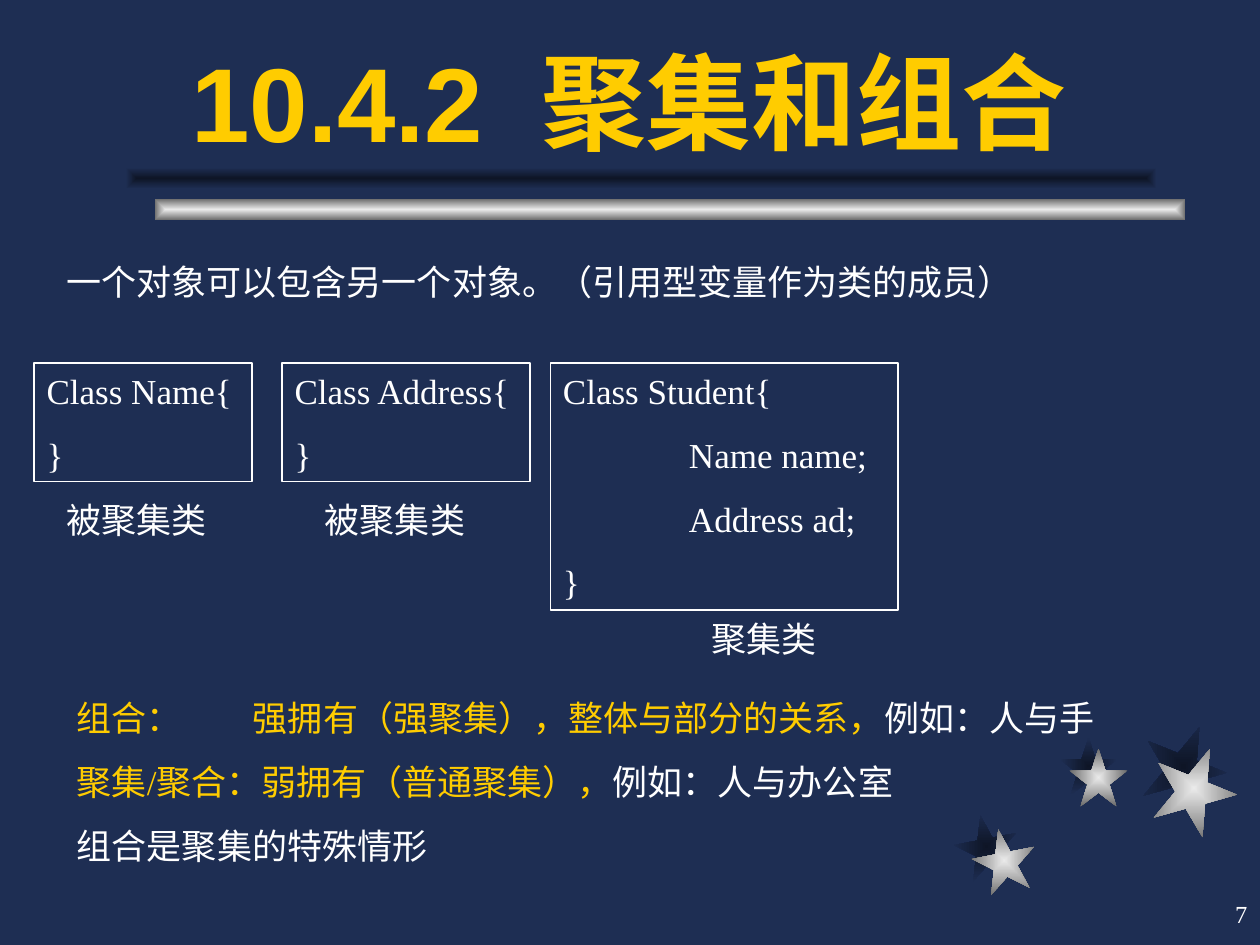
import pptx
import pptx.util
import pptx.dml.color
import pptx.enum.shapes
import pptx.enum.text
import pptx.oxml
import pptx.oxml.ns

Cm = pptx.util.Cm
RGBColor = pptx.dml.color.RGBColor
NAVY = RGBColor(0x1E, 0x2E, 0x53)
DARK = RGBColor(0x0E, 0x15, 0x26)
SILVER = RGBColor(0xEA, 0xEA, 0xEA)
GRAY = RGBColor(0x6C, 0x6C, 0x6C)
WHITE = RGBColor(0xFF, 0xFF, 0xFF)
GOLD = RGBColor(0xFF, 0xCC, 0x00)

SHADE = (DARK, NAVY)
METAL = (SILVER, GRAY)
STAR = [(0, 38), (38, 38), (50, 0), (62, 38), (100, 38),
        (69, 62), (81, 100), (50, 76), (19, 100), (31, 62)]


def fill_from_center(s, colors):
    """Fill a shape with a rectangular gradient running outward, without a line."""
    s.shadow.inherit = False
    s.line.fill.background()
    s.fill.gradient()
    for stop, color in zip(s.fill.gradient_stops, colors):
        stop.color.rgb = color
    qn = pptx.oxml.ns.qn
    lin = s._element.spPr.find(qn("a:gradFill")).find(qn("a:lin"))
    lin.getparent().replace(lin, pptx.oxml.parse_xml(
        f'<a:path {pptx.oxml.ns.nsdecls("a")} path="rect">'
        '<a:fillToRect l="50000" t="50000" r="50000" b="50000"/></a:path>'))


def set_tab(p, pos):
    """Add one left tab stop to a paragraph."""
    p._p.get_or_add_pPr().append(pptx.oxml.parse_xml(
        f'<a:tabLst {pptx.oxml.ns.nsdecls("a")}>'
        f'<a:tab pos="{Cm(pos)}" algn="l"/></a:tabLst>'))


def write_text(slide, paragraphs, box, size=20, font="Times New Roman", color=WHITE,
               bold=False, align="LEFT", anchor="TOP", wrap=True, grow=True,
               tab=None, outline=None):
    """Write paragraphs, each a string or a list of (text, color) runs, in a box."""
    lengths = [Cm(v) for v in box]
    if outline:
        s = slide.shapes.add_shape(pptx.enum.shapes.MSO_SHAPE.RECTANGLE, *lengths)
        s.shadow.inherit = False
        s.fill.background()
        s.line.color.rgb = outline
        s.line.width = pptx.util.Pt(1)
    else:
        s = slide.shapes.add_textbox(*lengths)
    tf = s.text_frame
    tf.word_wrap = wrap
    tf.vertical_anchor = pptx.enum.text.MSO_ANCHOR[anchor]
    if grow:
        tf.auto_size = pptx.enum.text.MSO_AUTO_SIZE.SHAPE_TO_FIT_TEXT
    for i, runs in enumerate(paragraphs):
        p = tf.paragraphs[0] if i == 0 else tf.add_paragraph()
        if tab:
            set_tab(p, tab)
        p.alignment = pptx.enum.text.PP_ALIGN[align]
        if i:
            p.space_before = pptx.util.Pt(12.5)
        for text, run_color in [(runs, color)] if isinstance(runs, str) else runs:
            r = p.add_run()
            r.text = text
            r.font.name = font
            r.font.size = pptx.util.Pt(size)
            r.font.bold = bold
            r.font.color.rgb = run_color
    return s


def draw_star(slide, left, top, size, angle, colors):
    """Draw a five-pointed star in a square box."""
    builder = slide.shapes.build_freeform(*STAR[0], scale=Cm(size) / 100)
    builder.add_line_segments(STAR[1:], close=True)
    s = builder.convert_to_shape(Cm(left), Cm(top))
    s.rotation = angle
    fill_from_center(s, colors)


def draw_stars(slide, left, top):
    """Draw the corner stars over their shadows."""
    stars = [(0, 1.83, 1.27, 349, 0.36, 0.28),
             (2.11, 0.26, 1.17, 0, 0.2, 0.23),
             (3.76, 0, 1.7, 22, 0.21, 0.44)]
    for x, y, size, angle, dx, dy in stars:
        draw_star(slide, left + x, top + y, size, angle, SHADE)
    for x, y, size, angle, dx, dy in stars:
        draw_star(slide, left + x + dx, top + y + dy, size, angle, METAL)


def draw_rule(slide, left, top, width):
    """Draw the metal bar under the title and its offset shadow."""
    for dx, dy, colors in [(0.58, 0.63, METAL), (0, 0, SHADE)]:
        s = slide.shapes.add_shape(pptx.enum.shapes.MSO_SHAPE.RECTANGLE,
                                   Cm(left + dx), Cm(top + dy), Cm(width), Cm(0.43))
        fill_from_center(s, colors)


def draw_class(slide, left, top, width, height, lines, caption, dx, dy):
    """Draw a framed class listing with its caption offset below it."""
    write_text(slide, lines, (left, top, width, height), outline=WHITE, tab=2.54)
    write_text(slide, [caption], (left + dx, top + height + dy, 3.4, 1.12))


def draw_classes(slide, left, top):
    """Draw the three class listings side by side."""
    draw_class(slide, left, top, 4.39, 2.39, ["Class Name{", "}"], "被聚集类", 0.4, 0.22)
    draw_class(slide, left + 5, top, 5, 2.39, ["Class Address{", "}"], "被聚集类", 0.61, 0.22)
    draw_class(slide, left + 10.41, top, 7.01, 4.98,
               ["Class Student{", "\tName name;", "\tAddress ad;", "}"], "聚集类", 3, 0.02)


def draw_summary(slide, box):
    """Write the comparison of composition and aggregation."""
    write_text(slide, [
        [("组合：\t强拥有（强聚集），整体与部分的关系，", GOLD), ("例如：人与手", WHITE)],
        [("聚集/聚合：弱拥有（普通聚集），", GOLD), ("例如：人与办公室", WHITE)],
        "组合是聚集的特殊情形"], box, tab=3.55)


def main():
    """Build and save the slide."""
    prs = pptx.Presentation()
    prs.slide_width, prs.slide_height = Cm(25.4), Cm(19.05)
    slide = prs.slides.add_slide(prs.slide_layouts[6])
    slide.background.fill.solid()
    slide.background.fill.fore_color.rgb = NAVY
    draw_stars(slide, 19.25, 14.6)
    draw_rule(slide, 2.54, 3.38, 20.78)
    write_text(slide, ["7"], (20.12, 17.78, 5.28, 1.27), size=14, align="RIGHT",
               anchor="MIDDLE", wrap=False, grow=False)
    write_text(slide, ["一个对象可以包含另一个对象。（引用型变量作为类的成员）"],
               (1.09, 5.13, 20.4, 1.12))
    draw_classes(slide, 0.69, 7.32)
    draw_summary(slide, (1.3, 13.92, 22.81, 3.68))
    write_text(slide, ["10.4.2  聚集和组合"], (3.61, 0.64, 19.89, 3.18), size=60,
               font="Arial", color=GOLD, bold=True, grow=False)
    prs.save("out.pptx")


if __name__ == "__main__":
    main()
